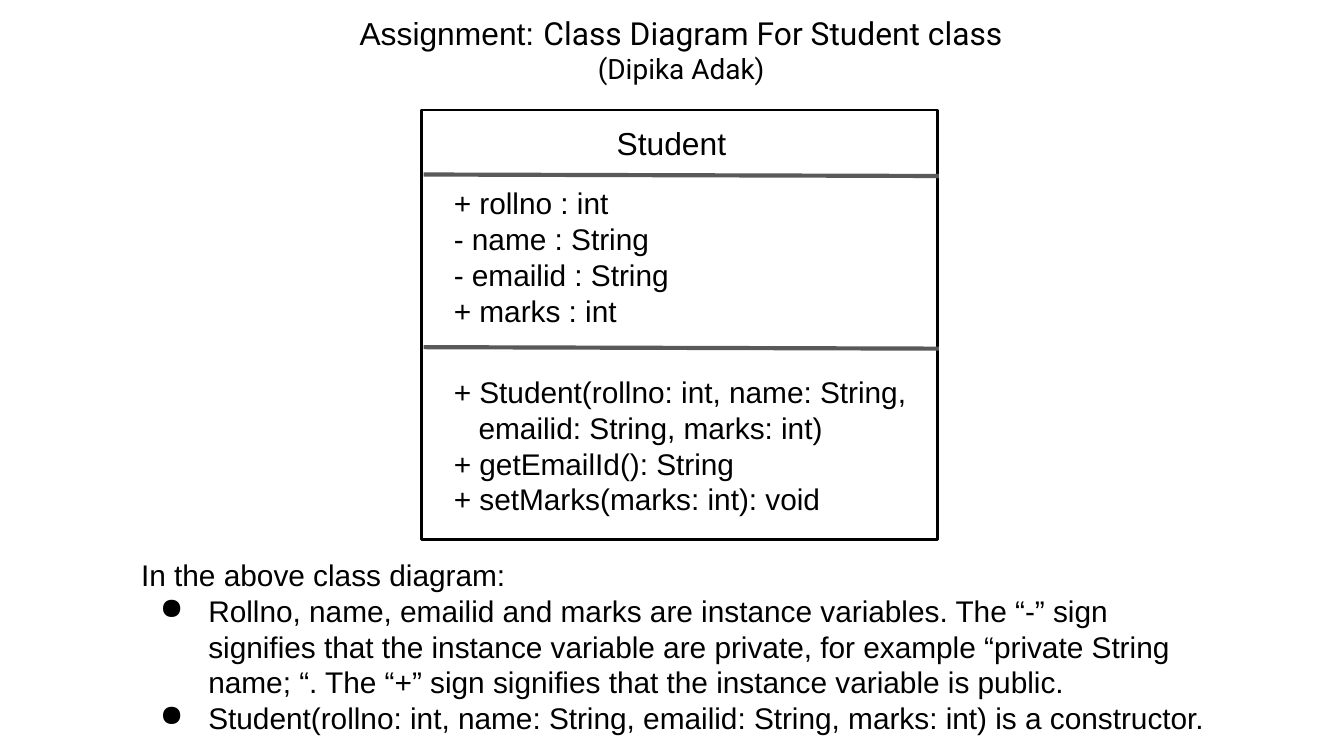
from lxml import etree
from pptx import Presentation
from pptx.dml.color import RGBColor
from pptx.enum import shapes, text
from pptx.oxml import ns
from pptx.util import Pt

COLORS = {"ink": "000000", "paper": "FFFFFF", "divider": "595959"}

prs = Presentation()
prs.slide_width, prs.slide_height = Pt(720), Pt(405)
s = prs.slides.add_slide(prs.slide_layouts[6])


def color(name):
    return RGBColor.from_string(COLORS[name])


def add_text(runs, tf, size=16, font="Arial", align="LEFT", left=0, bullet=None):
    """Add one paragraph; runs is a string or a list of (text, font) pairs."""
    p = tf.paragraphs[0]
    if p.runs:
        p = tf.add_paragraph()
    p.alignment = text.PP_ALIGN[align]
    p.line_spacing = Pt(round(size * 1.2, 1))
    pPr = p._p.get_or_add_pPr()
    pPr.set("marL", str(Pt(left)))
    if bullet:
        pPr.set("indent", str(Pt(-26)))
        etree.SubElement(pPr, ns.qn("a:buChar")).set("char", bullet)
    for words, face in [(runs, font)] if isinstance(runs, str) else runs:
        r = p.add_run()
        r.text = words
        r.font.name, r.font.size = face, Pt(size)
        r.font.color.rgb = color("ink")


# Class box with its two dividers
sp = s.shapes.add_shape(shapes.MSO_SHAPE.RECTANGLE, Pt(226), Pt(59), Pt(276.5), Pt(230))
sp.shadow.inherit = False
sp.fill.solid()
sp.fill.fore_color.rgb = color("paper")
sp.line.color.rgb = color("ink")
sp.line.width = Pt(1.5)

for y in (93.5, 186):
    line = s.shapes.add_connector(
        shapes.MSO_CONNECTOR.STRAIGHT, Pt(227), Pt(y), Pt(503), Pt(y + 0.8))
    line.line.color.rgb = color("divider")
    line.line.width = Pt(2.25)
    etree.SubElement(line._element.spPr, ns.qn("a:effectLst"))

# Text boxes: left, top, width, height, then each paragraph with its format
title = dict(align="CENTER")
item = dict(left=36, bullet="●")
boxes = [
    ((282, 59, 155.5, 35), [("Student", dict(title, size=17))]),
    ((236, 92, 140.5, 92), [
        ("+ rollno : int", {}),
        ("- name : String", {}),
        ("- emailid : String", {}),
        ("+ marks : int", {}),
    ]),
    ((236, 193, 276, 92), [
        ("+ Student(rollno: int, name: String,", {}),
        ("emailid: String, marks: int)", dict(left=13.3)),
        ("+ getEmailId(): String", {}),
        ("+ setMarks(marks: int): void", {}),
    ]),
    ((68.5, 291, 594, 111.5), [
        ("In the above class diagram:", {}),
        ("Rollno, name, emailid and marks are instance variables. The “-” sign "
         "signifies that the instance variable are private, for example “private "
         "String name; “. The “+” sign signifies that the instance variable is "
         "public.", item),
        ("Student(rollno: int, name: String, emailid: String, marks: int) is a "
         "constructor.", item),
    ]),
    ((156, 0, 418, 53), [
        ([("Assignment: ", "Arial"), ("Class Diagram For Student class", "Roboto")],
         dict(title, size=17)),
        ("(Dipika Adak)", dict(title, size=15, font="Roboto")),
    ]),
]
for box, paragraphs in boxes:
    tf = s.shapes.add_textbox(*map(Pt, box)).text_frame
    tf.word_wrap = True
    tf.auto_size = text.MSO_AUTO_SIZE.SHAPE_TO_FIT_TEXT
    tf.margin_left = tf.margin_right = tf.margin_top = tf.margin_bottom = Pt(7.2)
    for words, style in paragraphs:
        add_text(words, tf, **style)

prs.save("out.pptx")
